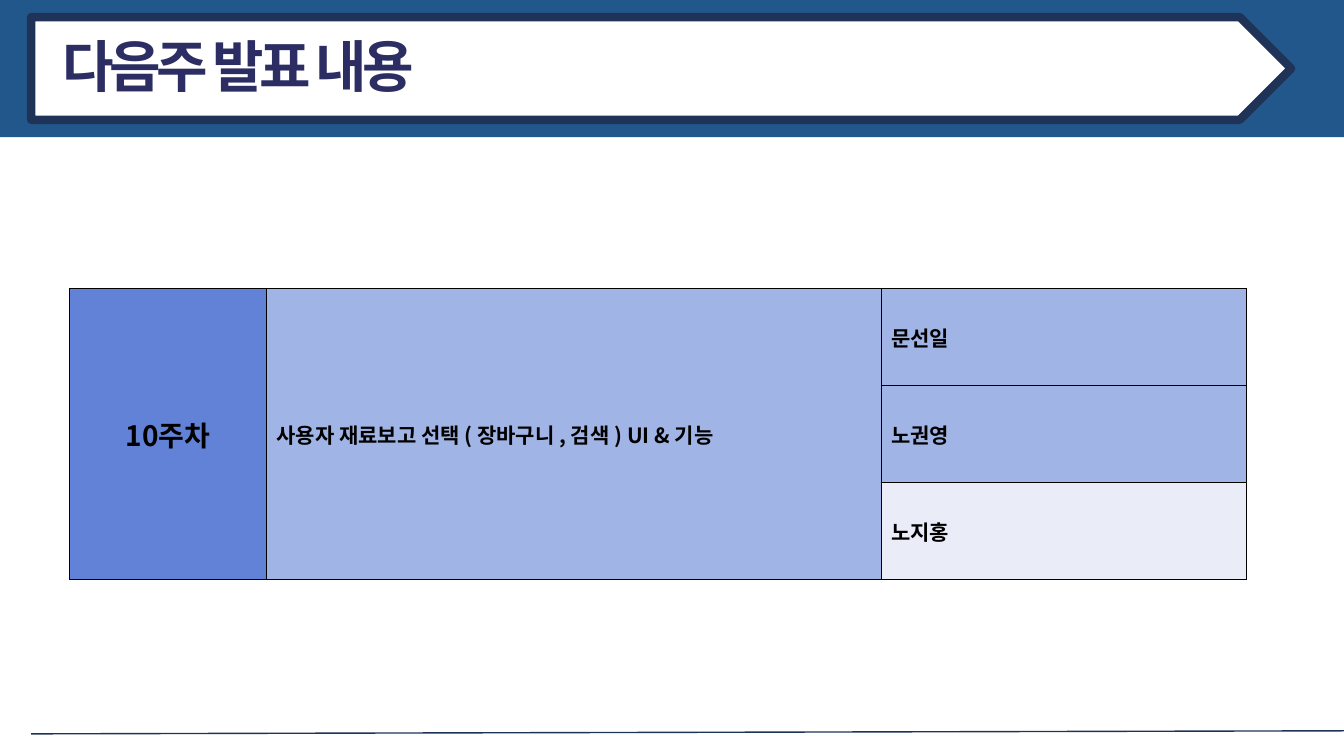
from lxml import etree
from pptx import Presentation, util as u
from pptx.dml import color
from pptx.enum import shapes, text
from pptx.oxml import ns

FONT = "Noto Sans CJK KR"
NAVY = "1F3359"
PERIWINKLE = "A0B4E6"


def rgb(value):
    return color.RGBColor.from_string(value)


def add_element(parent, tag, **attributes):
    return etree.SubElement(parent, ns.qn(tag), attributes)


def write(frame, content, size, ink="000000", align=text.PP_ALIGN.LEFT, spacing=None):
    """Fill a text frame with one bold, vertically centred paragraph."""
    paragraph = frame.paragraphs[0]
    paragraph.alignment = align
    run = paragraph.add_run()
    run.text = content
    font = run.font
    font.name, font.size, font.bold = FONT, u.Pt(size), True
    font.color.rgb = rgb(ink)
    properties = run.font._element
    add_element(properties, "a:ea", typeface=FONT)
    if spacing is not None:
        properties.set("spc", str(spacing * 100))


class SlideBuilder:
    def __init__(self, presentation):
        self.slide = presentation.slides.add_slide(presentation.slide_layouts[5])

    def shape(self, kind, left, top, width, height, fill, line=None, line_width=1):
        shape = self.slide.shapes.add_shape(kind, *map(u.Pt, (left, top, width, height)))
        shape.shadow.inherit = False
        shape.fill.solid()
        shape.fill.fore_color.rgb = rgb(fill)
        if line:
            shape.line.color.rgb = rgb(line)
            shape.line.width = u.Pt(line_width)
            add_element(shape.line._get_or_add_ln(), "a:round")
        else:
            shape.line.fill.background()
        return shape

    def title(self, content, left, top, width, height):
        title = self.slide.shapes.title
        title.left, title.top, title.width, title.height = map(
            u.Pt, (left, top, width, height))
        frame = title.text_frame
        frame.word_wrap = False
        frame.auto_size = text.MSO_AUTO_SIZE.NONE
        frame.vertical_anchor = text.MSO_ANCHOR.MIDDLE
        write(frame, content, 40, "2B2D63", spacing=-3)
        # Bring the title in front of the banner
        title.element.getparent().append(title.element)

    def line(self, x1, y1, x2, y2, ink):
        line = self.slide.shapes.add_connector(
            shapes.MSO_CONNECTOR.STRAIGHT, *map(u.Pt, (x1, y1, x2, y2)))
        line.line.color.rgb = rgb(ink)
        line.line.width = u.Pt(1)
        add_element(line.element.spPr, "a:effectLst")

    def table(self, left, top, widths, row_height, fills):
        rows = len(fills)
        table = self.slide.shapes.add_table(
            rows, len(widths), u.Pt(left), u.Pt(top),
            u.Pt(sum(widths)), u.Pt(row_height * rows)).table
        table.first_row = table.horz_banding = False
        for column, width in zip(table.columns, widths):
            column.width = u.Pt(width)
        for row, row_fills in zip(table.rows, fills):
            row.height = u.Pt(row_height)
            for cell, fill in zip(row.cells, row_fills):
                self.style_cell(cell, fill)
        return table

    def style_cell(self, cell, fill):
        cell.vertical_anchor = text.MSO_ANCHOR.MIDDLE
        properties = cell._tc.get_or_add_tcPr()
        for side in "LRTB":
            border = add_element(properties, f"a:ln{side}", w=str(u.Pt(1)))
            add_element(add_element(border, "a:solidFill"), "a:srgbClr", val="000000")
        cell.fill.solid()
        cell.fill.fore_color.rgb = rgb(fill)


def main():
    presentation = Presentation()
    presentation.slide_width, presentation.slide_height = u.Pt(960), u.Pt(540)
    builder = SlideBuilder(presentation)

    # Banner and title
    builder.shape(shapes.MSO_SHAPE.RECTANGLE, 0, 0, 960, 98, "22578B")
    builder.shape(shapes.MSO_SHAPE.PENTAGON, 22.3, 12.2, 900, 73.4, "FFFFFF", NAVY, 6)
    builder.title("다음주 발표 내용", 37.4, 19.4, 283.7, 54.7)

    # Footer rule
    builder.line(22.3, 524.2, 960, 522, NAVY)

    # Weekly plan: week and topic span all presenters
    presenters = [("문선일", PERIWINKLE), ("노권영", PERIWINKLE), ("노지홍", "EAEDF7")]
    fills = [("6182D6", PERIWINKLE, fill) for name, fill in presenters]
    plan = builder.table(49.9, 206.2, (140.4, 439.2, 260.6), 69.3, fills)
    for column in (0, 1):
        plan.cell(0, column).merge(plan.cell(len(presenters) - 1, column))
    write(plan.cell(0, 0).text_frame, "10주차", 20, align=text.PP_ALIGN.CENTER)
    write(plan.cell(0, 1).text_frame,
          "사용자 재료보고 선택 ( 장바구니 , 검색 ) UI & 기능", 15)
    for row, (name, fill) in enumerate(presenters):
        write(plan.cell(row, 2).text_frame, name, 15)

    presentation.save("out.pptx")


if __name__ == "__main__":
    main()
